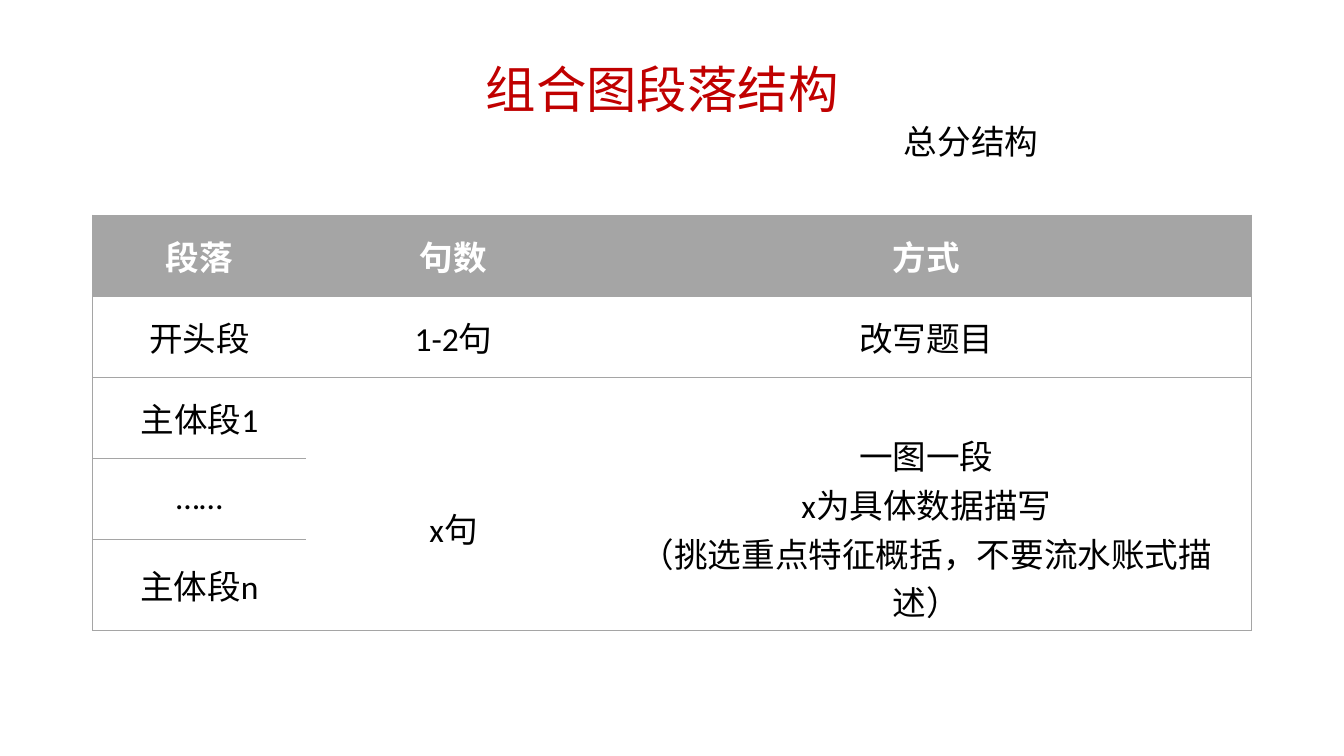
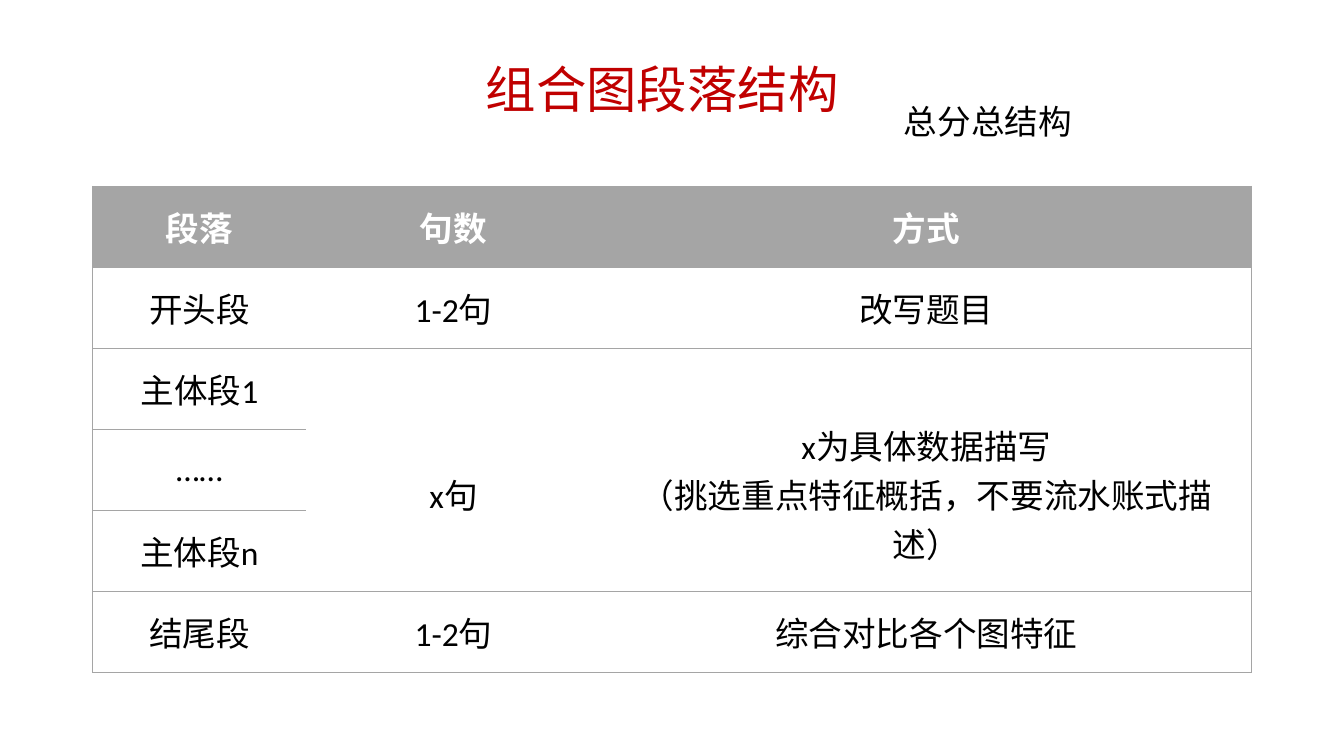
from lxml import etree
from pptx import Presentation
from pptx.dml.color import RGBColor
from pptx.enum.text import MSO_ANCHOR, MSO_AUTO_SIZE, PP_ALIGN
from pptx.oxml.ns import qn
from pptx.util import Pt

CENTER, LEFT = PP_ALIGN.CENTER, PP_ALIGN.LEFT
MIDDLE, TOP = MSO_ANCHOR.MIDDLE, MSO_ANCHOR.TOP
FIT_SHAPE = MSO_AUTO_SIZE.SHAPE_TO_FIT_TEXT

RED, GREY, BLACK, WHITE = "C00000", "A5A5A5", "000000", "FFFFFF"
CJK = "Noto Sans CJK SC"
NO_STYLE = "{2D5ABB26-0587-4C30-8999-92F81FD0307C}"

TITLE = "组合图段落结构"
TITLE_BOX = (59, 13.7, 828, 104.4)
TABLE_LEFT, ROW_H = 66.2, 57.9
COLS = (152.5, 210.6, 464.9)
BODY_ROWS = (2, 4)
LINE_H = 34.7
INSET = 3.6

HEADER = ("段落", "句数", "方式")
OPENING = ("开头段", "1-2句", "改写题目")
ENDING = ("结尾段", "1-2句", "综合对比各个图特征")
DETAIL = "x为具体数据描写\n（挑选重点特征概括，不要流水账式描述）"


def rgb(color):
    """Turn a hex string into a colour."""
    return RGBColor.from_string(color)


def write(tf, text, size, font, color, align=LEFT, bold=False, spacing=None):
    """Fill a text frame with one paragraph per line of text."""
    tf.text = text
    for p in tf.paragraphs:
        p.alignment = align
        p.line_spacing = spacing
        p.font.size = Pt(size)
        p.font.bold = bold
        p.font.name = font
        p.font.color.rgb = rgb(color)
        props = p._p.get_or_add_pPr().find(qn("a:defRPr"))
        ea = etree.Element(qn("a:ea"), typeface=CJK)
        props.find(qn("a:latin")).addnext(ea)


def add_text(s, box, text, size, font, color, anchor=TOP, wrap=True, **style):
    """Add a text box and return its text frame."""
    tf = s.shapes.add_textbox(*map(Pt, box)).text_frame
    tf.word_wrap = wrap
    tf.vertical_anchor = anchor
    write(tf, text, size, font, color, **style)
    return tf


def set_borders(cell, sides):
    """Draw thin grey lines on the given sides of a cell."""
    tcPr = cell._tc.get_or_add_tcPr()
    for side in sides:
        ln = etree.SubElement(tcPr, qn(f"a:ln{side}"), w=str(Pt(0.5)))
        fill = etree.SubElement(ln, qn("a:solidFill"))
        etree.SubElement(fill, qn("a:srgbClr"), val=GREY)


def border_sides(row, col):
    """Name the sides that carry a line, leaving merged cells open inside."""
    first, last = BODY_ROWS
    merged = col > 0 and first <= row <= last
    sides = "L" if col == 0 else ""
    if col == len(COLS) - 1:
        sides += "R"
    if not merged or row == first:
        sides += "T"
    if not merged or row in BODY_ROWS:
        sides += "B"
    return sides


def add_structure_table(s, left, top, rows):
    """Add the paragraph table, merging the body rows of the later columns."""
    frame = s.shapes.add_table(len(rows), len(COLS), Pt(left), Pt(top),
                               Pt(sum(COLS)), Pt(ROW_H * len(rows)))
    table = frame.table
    table.horz_banding = False
    table._tbl.tblPr.find(qn("a:tableStyleId")).text = NO_STYLE
    for column, width in zip(table.columns, COLS):
        column.width = Pt(width)
    first, last = BODY_ROWS
    for col in range(1, len(COLS)):
        table.cell(first, col).merge(table.cell(last, col))
    for row, texts in enumerate(rows):
        table.rows[row].height = Pt(ROW_H)
        header = row == 0
        for col in range(len(COLS)):
            cell = table.cell(row, col)
            set_borders(cell, border_sides(row, col))
            cell.fill.solid()
            cell.fill.fore_color.rgb = rgb(GREY if header else WHITE)
            cell.vertical_anchor = MIDDLE
            if cell.is_merge_origin:
                cell.margin_top = Pt(INSET + LINE_H)
            if col < len(texts):
                write(cell.text_frame, texts[col], 24, "Calibri",
                      WHITE if header else BLACK, CENTER, header)


def add_structure_slide(prs, label, label_top, table_top, detail, closing=()):
    """Add a slide with the title, the structure label and the table."""
    s = prs.slides.add_slide(prs.slide_layouts[6])
    body = [("主体段1", "x句", detail), ("……",), ("主体段n",)]
    add_structure_table(s, TABLE_LEFT, table_top,
                        [HEADER, OPENING, *body, *closing])
    add_text(s, TITLE_BOX, TITLE, 36, "Arial", RED, MIDDLE,
             align=CENTER, spacing=0.9)
    label_box = (638.6, label_top, 14.4 + 24 * len(label), 36)
    tf = add_text(s, label_box, label, 24, CJK, BLACK, wrap=False)
    tf.auto_size = FIT_SHAPE


def main():
    """Build and save the presentation."""
    prs = Presentation()
    prs.slide_width, prs.slide_height = Pt(960), Pt(540)
    add_structure_slide(prs, "总分结构", 82.8, 153.5, "一图一段\n" + DETAIL)
    add_structure_slide(prs, "总分总结构", 68.4, 133, DETAIL, [ENDING])
    prs.save("out.pptx")


if __name__ == "__main__":
    main()
